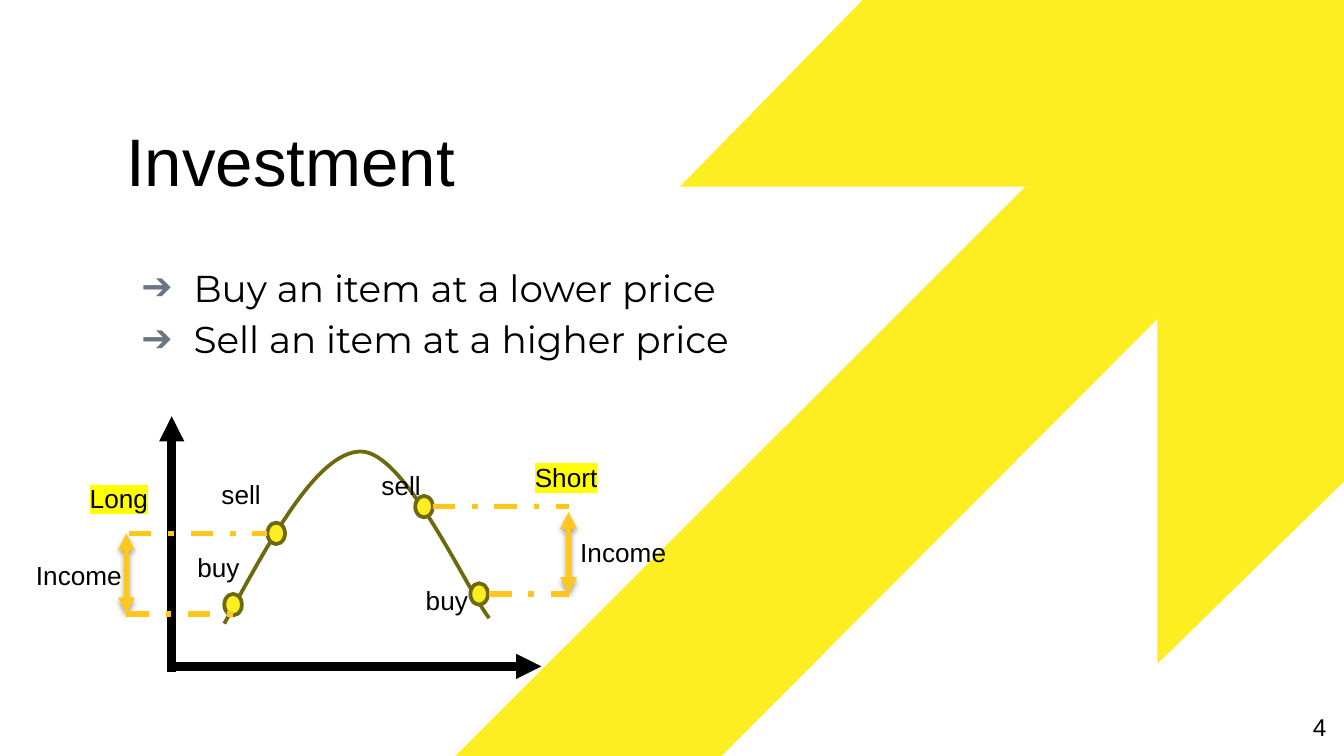
import pptx
import pptx.dml.color
import pptx.enum.dml
import pptx.enum.shapes
import pptx.enum.text
import pptx.oxml
import pptx.oxml.ns
import pptx.util
from lxml import etree

Pt = pptx.util.Pt
RGBColor = pptx.dml.color.RGBColor
ANCHOR = pptx.enum.text.MSO_ANCHOR
ALIGN = pptx.enum.text.PP_ALIGN
qn = pptx.oxml.ns.qn

BLACK = RGBColor(0x00, 0x00, 0x00)
YELLOW = RGBColor(0xFC, 0xEE, 0x21)
OLIVE = RGBColor(0x6E, 0x68, 0x0E)
GOLD = RGBColor(0xFF, 0xC8, 0x21)
AMBER = RGBColor(0xFF, 0xC6, 0x1B)
SLATE = RGBColor(0x6C, 0x75, 0x83)
HIGHLIGHT = RGBColor(0xFF, 0xFF, 0x00)

LABEL_HEIGHT = 24.5
LABEL_WIDTHS = {"buy": 37.5, "sell": 36, "Income": 60.5, "Long": 46, "Short": 48}
MARKER_SIZE = (9.4, 11.5)

LONG = {
    "name": ("Long", 29, 2.9),
    "markers": [(108.2, 66.2), (131.3, 28)],
    "labels": [("buy", 86.6, 39.6), ("sell", 99.6, 0.7), ("Income", 0.2, 43.9)],
    "guides": [(57.1, 131.3, 33.8), (55.7, 113.3, 77)],
    "income": (55.7, 33.8, 77),
}
SHORT = {
    "name": ("Short", 83.4, 0.4),
    "markers": [(56, 69.5), (26.5, 22.7)],
    "labels": [("buy", 25, 66.6), ("sell", 1.3, 4.7), ("Income", 107.8, 40.7)],
    "guides": [(35.8, 108.6, 28.4), (66.1, 108.6, 75.2)],
    "income": (108.6, 31.3, 75.2),
}


def add_xml(parent, tag, **attributes):
    return etree.SubElement(parent, qn(tag), attributes)


def write_text(frame, lines, size=14, font="Arial", align=ALIGN.LEFT, anchor=ANCHOR.TOP,
               spacing=1.0, wrap=True, margins=None, highlight=None):
    frame.word_wrap = wrap
    frame.auto_size = pptx.enum.text.MSO_AUTO_SIZE.NONE
    frame.vertical_anchor = anchor
    if margins is not None:
        frame.margin_left = frame.margin_right = Pt(margins)
        frame.margin_top = frame.margin_bottom = Pt(margins)
    frame.text = "\n".join(lines)
    for paragraph in frame.paragraphs:
        paragraph.alignment = align
        paragraph.line_spacing = spacing
        paragraph.space_before = paragraph.space_after = Pt(0)
        run_font = paragraph.runs[0].font
        run_font.size = Pt(size)
        run_font.color.rgb = BLACK
        if highlight is not None:
            mark = pptx.oxml.parse_xml(
                f'<a:highlight {pptx.oxml.ns.nsdecls("a")}><a:srgbClr val="{highlight}"/></a:highlight>')
            paragraph.runs[0]._r.rPr.find(qn("a:solidFill")).addnext(mark)
        run_font.name = font


def place(shape, left, top, width, height):
    shape.left, shape.top = Pt(left), Pt(top)
    shape.width, shape.height = Pt(width), Pt(height)


def add_label(slide, text, left, top, **formatting):
    label = slide.shapes.add_textbox(Pt(left), Pt(top), Pt(LABEL_WIDTHS[text]), Pt(LABEL_HEIGHT))
    write_text(label.text_frame, [text], wrap=False, **formatting)


def add_line(slide, start, end, color, width, dash=None, arrows=(), shadow=False):
    line = slide.shapes.add_connector(pptx.enum.shapes.MSO_CONNECTOR.STRAIGHT,
                                      *map(Pt, start + end))
    line.line.color.rgb = color
    line.line.width = Pt(width)
    if dash is not None:
        line.line.dash_style = dash
    properties = line._element.spPr
    for arrow in arrows:
        add_xml(properties.find(qn("a:ln")), arrow, type="triangle")
    effects = add_xml(properties, "a:effectLst")
    if shadow:
        drop = add_xml(effects, "a:outerShdw", blurRad=str(Pt(3.1)), dist=str(Pt(1.6)),
                       dir="5400000", rotWithShape="0")
        add_xml(add_xml(drop, "a:srgbClr", val=str(BLACK)), "a:alpha", val="38000")


def add_outline(slide, points, left, top, close):
    builder = slide.shapes.build_freeform(Pt(left + points[0][0]), Pt(top + points[0][1]))
    builder.add_line_segments([(Pt(left + x), Pt(top + y)) for x, y in points[1:]], close=close)
    outline = builder.convert_to_shape()
    outline.shadow.inherit = False
    return outline


def add_backdrop(slide, left, top):
    corners = [(462.2, 0), (364.3, 100), (549.4, 100), (244, 405), (386.6, 405),
               (620, 171), (620, 355.7), (720, 258), (720, 0)]
    arrow = add_outline(slide, corners, left, top, close=True)
    arrow.fill.solid()
    arrow.fill.fore_color.rgb = YELLOW
    arrow.line.fill.background()
    arrow._element.getparent().insert(2, arrow._element)


def add_heading(slide, left, top, width, height):
    title = slide.shapes.title
    place(title, left, top, width, height)
    write_text(title.text_frame, ["Investment"], size=36, anchor=ANCHOR.BOTTOM,
               spacing=0.9, margins=0)


def add_advice(slide, left, top, width, height):
    advice = slide.placeholders[1]
    place(advice, left, top, width, height)
    write_text(advice.text_frame, ["Buy an item at a lower price", "Sell an item at a higher price"],
               size=20, font="Montserrat", spacing=1.15, margins=0)
    for paragraph in advice.text_frame.paragraphs:
        properties = paragraph._p.get_or_add_pPr()
        properties.set("marL", str(Pt(36)))
        properties.set("indent", str(Pt(-28)))
        add_xml(add_xml(properties, "a:buClr"), "a:srgbClr", val=str(SLATE))
        add_xml(properties, "a:buChar", char="➔")


def add_page_number(slide, left, top, width, height):
    number = slide.shapes.add_textbox(Pt(left), Pt(top), Pt(width), Pt(height))
    write_text(number.text_frame, ["4"], size=13, align=ALIGN.RIGHT, anchor=ANCHOR.MIDDLE, margins=0)


def add_price_curve(slide, left, top):
    axis_x, axis_y = left + 80, top + 141
    for start, end in [((axis_x, top + 144), (axis_x, top + 7)),
                       ((axis_x, axis_y), (left + 278, axis_y))]:
        add_line(slide, start, end, BLACK, 4.5, arrows=["a:tailEnd"])

    controls = [(108.2, 118.1), (133.4, 72), (157.9, 26.6), (181, 25.9),
                (204.7, 25.2), (237.8, 99.4), (250.1, 115.2)]
    curve = add_outline(slide, controls, left, top, close=False)
    curve.fill.background()
    curve.line.color.rgb = OLIVE
    curve.line.width = Pt(2)
    segments = list(curve._element.iter(qn("a:lnTo")))
    for first in range(0, len(segments), 3):
        bezier = etree.Element(qn("a:cubicBezTo"))
        segments[first].addprevious(bezier)
        for segment in segments[first:first + 3]:
            bezier.append(segment[0])
            segment.getparent().remove(segment)


def add_trade(slide, trade, left, top):
    for x, y in trade["markers"]:
        marker = slide.shapes.add_shape(pptx.enum.shapes.MSO_SHAPE.OVAL, Pt(left + x), Pt(top + y),
                                        *map(Pt, MARKER_SIZE))
        marker.shadow.inherit = False
        marker.fill.solid()
        marker.fill.fore_color.rgb = YELLOW
        marker.line.color.rgb = OLIVE
        marker.line.width = Pt(2)
    x, high, low = trade["income"]
    add_line(slide, (left + x, top + high), (left + x, top + low), GOLD, 3,
             arrows=["a:headEnd", "a:tailEnd"], shadow=True)
    for start, end, y in trade["guides"]:
        add_line(slide, (left + start, top + y), (left + end, top + y), AMBER, 3,
                 dash=pptx.enum.dml.MSO_LINE.DASH_DOT)
    for text, x, y in trade["labels"]:
        add_label(slide, text, left + x, top + y)
    name, x, y = trade["name"]
    add_label(slide, name, left + x, top + y, highlight=HIGHLIGHT)


def main():
    deck = pptx.Presentation()
    deck.slide_width, deck.slide_height = Pt(720), Pt(405)
    slide = deck.slides.add_slide(deck.slide_layouts[1])
    add_backdrop(slide, 0, 0)
    add_heading(slide, 67.7, 68.4, 481.7, 39.6)
    add_advice(slide, 67.7, 138.2, 481.7, 207.4)
    add_page_number(slide, 667.4, 373.7, 43.2, 31)
    add_price_curve(slide, 12, 216)
    add_trade(slide, LONG, 12, 252)
    add_trade(slide, SHORT, 196, 243)
    deck.save("out.pptx")


if __name__ == "__main__":
    main()
